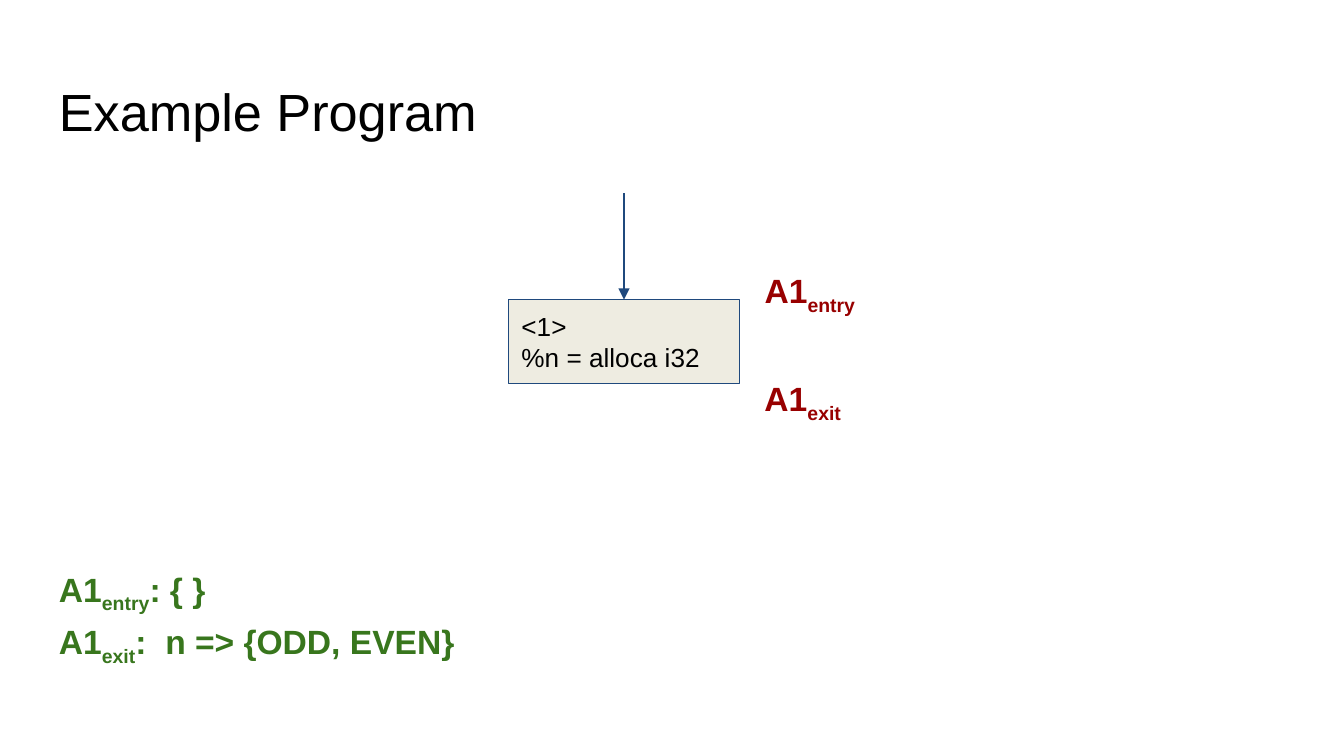
from pptx import Presentation
from pptx.dml.color import RGBColor
from pptx.enum.shapes import MSO_CONNECTOR, MSO_SHAPE
from pptx.enum.text import MSO_ANCHOR
from pptx.oxml.ns import qn
from pptx.util import Pt
from lxml.etree import SubElement

BLACK, RED, GREEN = "000000", "980000", "38761D"
NAVY, CREAM = "1F497D", "EEECE1"

TITLE = ("Example Program", (24.5, 35.3, 671, 45.4))
BLOCK = ("<1>\n%n = alloca i32", (272.3, 160.5, 124, 45))
TOP = 103.5
FACTS = [
    ([("A1", "entry", ": { }"), ("A1", "exit", ":  n => {ODD, EVEN}")],
     (24.5, 293.8, 335.5, 70.6), GREEN),
    ([("A1", "entry", "")], (402.5, 133.9, 97.2, 45.4), RED),
    ([("A1", "exit", "")], (402.5, 191.8, 59.8, 45.4), RED),
]


def color(code):
    return RGBColor.from_string(code)


def style(run, size, code, bold=False):
    font = run.font
    font.name, font.size, font.bold = "Arial", Pt(size), bold
    font.color.rgb = color(code)


def setup(shape, anchor=MSO_ANCHOR.TOP):
    frame = shape.text_frame
    frame.word_wrap = True
    frame.vertical_anchor = anchor
    frame.margin_left = frame.margin_right = Pt(7.2)
    frame.margin_top = frame.margin_bottom = Pt(7.2)
    return frame


def fill(frame, text, size):
    frame.text = text
    for para in frame.paragraphs:
        para.alignment = 1
        for run in para.runs:
            style(run, size, BLACK)


def box(area):
    return slide.shapes.add_textbox(*map(Pt, area))


def outline(shape):
    shape.line.color.rgb = color(NAVY)
    shape.line.width = Pt(0.75)


deck = Presentation()
deck.slide_width, deck.slide_height = Pt(720), Pt(405)
slide = deck.slides.add_slide(deck.slide_layouts[6])

text, area = TITLE
fill(setup(box(area)), text, 28)

text, area = BLOCK
block = slide.shapes.add_shape(MSO_SHAPE.RECTANGLE, *map(Pt, area))
block.shadow.inherit = False
block.fill.solid()
block.fill.fore_color.rgb = color(CREAM)
outline(block)
fill(setup(block, MSO_ANCHOR.MIDDLE), text, 14)

left, base, width, high = area
mid = left + width / 2
arrow = slide.shapes.add_connector(
    MSO_CONNECTOR.STRAIGHT, Pt(mid), Pt(TOP), Pt(mid), Pt(base))
outline(arrow)
SubElement(arrow.line._get_or_add_ln(), qn("a:tailEnd"), type="triangle")
SubElement(arrow._element.spPr, qn("a:effectLst"))

for lines, area, code in FACTS:
    para = setup(box(area)).paragraphs[0]
    para.line_spacing = 1.15
    for row, (name, sub, rest) in enumerate(lines):
        if row:
            para.add_line_break()
        for part in filter(None, (name, sub, rest)):
            run = para.add_run()
            run.text = part
            style(run, 18, code, True)
            if part == sub:
                run.font._element.set("baseline", "-25000")

deck.save("out.pptx")
